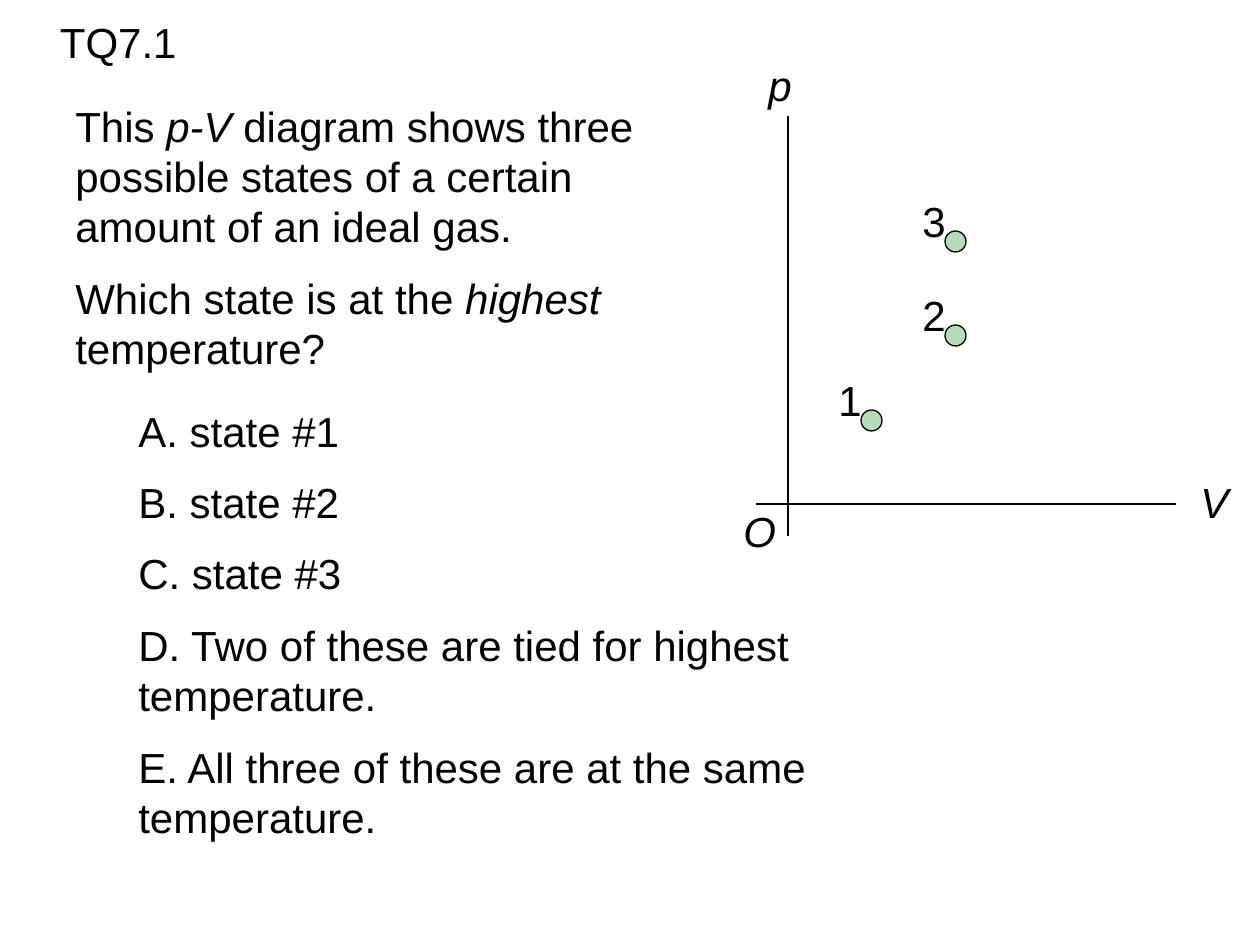
from lxml import etree
from pptx import Presentation
from pptx import util as u
from pptx.dml.color import RGBColor
from pptx.enum import shapes, text
from pptx.oxml.ns import qn

PX = 914400 / 126
THEME = {
    "font": {"name": "Arial", "size": u.Pt(24)},
    "ink": RGBColor.from_string("000000"),
    "dot": RGBColor.from_string("B7DAB8"),
    "line": u.Pt(0.75),
    "gap": u.Pt(12),
}
LEFT, CENTER, RIGHT = text.PP_ALIGN.LEFT, text.PP_ALIGN.CENTER, text.PP_ALIGN.RIGHT
TOP, MIDDLE = text.MSO_ANCHOR.TOP, text.MSO_ANCHOR.MIDDLE


def emu(*lengths):
    return [u.Emu(round(n * PX)) for n in lengths]


def add_text(box, paragraphs, align=LEFT, anchor=TOP, wrap=True):
    tf = s.shapes.add_textbox(*emu(*box)).text_frame
    frame = {"word_wrap": wrap, "vertical_anchor": anchor,
             "auto_size": text.MSO_AUTO_SIZE.SHAPE_TO_FIT_TEXT}
    for key, value in frame.items():
        setattr(tf, key, value)
    for i, runs in enumerate(paragraphs):
        p = tf.add_paragraph() if i else tf.paragraphs[0]
        p.alignment = align
        if i:
            p.space_before = THEME["gap"]
        for words, italic in runs:
            r = p.add_run()
            r.text = words
            for key, value in {**THEME["font"], "italic": italic}.items():
                setattr(r.font, key, value)
            r.font.color.rgb = THEME["ink"]


prs = Presentation()
prs.slide_width, prs.slide_height = emu(1260, 945)
s = prs.slides.add_slide(prs.slide_layouts[6])

add_text((63, 94, 620, 292), [
    [("This ", False), ("p-V ", True),
     ("diagram shows three possible states of a certain amount of an ideal gas.", False)],
    [("Which state is at the ", False), ("highest", True), (" temperature?", False)],
])

answers = [
    "A. state #1",
    "B. state #2",
    "C. state #3",
    "D. Two of these are tied for highest temperature.",
    "E. All three of these are at the same temperature.",
]
add_text((126, 399, 872, 471), [[(answer, False)] for answer in answers])
add_text((10, 10, 179, 63), [[("TQ7.1", False)]], align=RIGHT)

for axis in [(788, 116, 788, 536), (1176, 504, 756, 504)]:
    c = s.shapes.add_connector(shapes.MSO_CONNECTOR.STRAIGHT, *emu(*axis))
    c.line.color.rgb = THEME["ink"]
    c.line.width = THEME["line"]
    etree.SubElement(c._element.spPr, qn("a:effectLst"))

states = [("2", 945, 325), ("1", 861, 410), ("3", 945, 231)]
for name, x, y in states:
    sp = s.shapes.add_shape(shapes.MSO_SHAPE.OVAL, *emu(x, y, 21, 21))
    sp.shadow.inherit = False
    sp.fill.solid()
    sp.fill.fore_color.rgb = THEME["dot"]
    sp.line.color.rgb = THEME["ink"]
    sp.line.width = THEME["line"]

labels = [
    ("p", True, (756, 53, 47, 63), False),
    ("V", True, (1188, 470, 50, 63), True),
    ("O", True, (731, 499, 55, 63), True),
]
labels += [(name, False, (x - 35, y - 42, 47, 63), False) for name, x, y in states]
for name, italic, box, wrap in labels:
    add_text(box, [[(name, italic)]], CENTER, MIDDLE, wrap)

prs.save("out.pptx")
